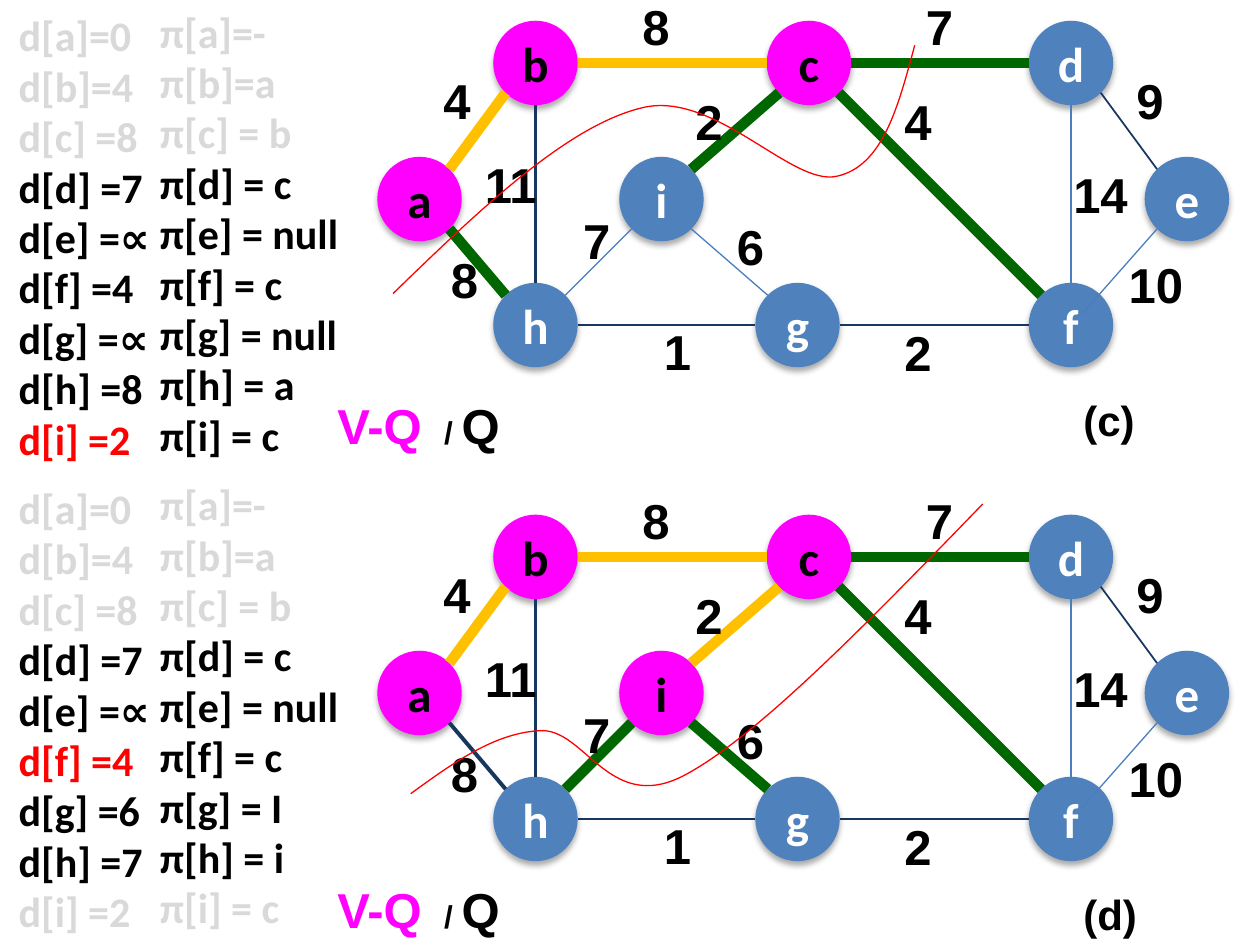
from math import sqrt

from lxml.etree import SubElement
from pptx import Presentation
from pptx.dml.color import RGBColor
from pptx.enum.shapes import MSO_CONNECTOR as Connector, MSO_SHAPE as Shape
from pptx.enum.text import MSO_ANCHOR as Anchor, PP_ALIGN as Align
from pptx.oxml.ns import qn
from pptx.util import Inches, Pt

BLACK = RGBColor(0x00, 0x00, 0x00)
WHITE = RGBColor(0xFF, 0xFF, 0xFF)
GREY = RGBColor(0xD9, 0xD9, 0xD9)
RED = RGBColor(0xFF, 0x00, 0x00)
MAGENTA = RGBColor(0xFF, 0x00, 0xFF)
BLUE = RGBColor(0x4F, 0x81, 0xBD)
LIGHT_BLUE = RGBColor(0x4B, 0x7E, 0xBC)
NAVY = RGBColor(0x17, 0x37, 0x5E)
GOLD = RGBColor(0xFF, 0xC0, 0x00)
GREEN = RGBColor(0x00, 0x66, 0x00)

# Edge styles: colour and width in points
TREE, CUT = (GOLD, 6), (GREEN, 6)
PLAIN, THIN, MEDIUM, THICK = (LIGHT_BLUE, 0.75), (NAVY, 1), (NAVY, 1.5), (NAVY, 2.25)

# Graph geometry, in inches within one panel
DIAMETER = 0.67
NODES = {
    "b": (4.25, 0.5), "c": (6.42, 0.5), "d": (8.5, 0.5),
    "a": (3.33, 1.58), "i": (5.25, 1.58), "e": (9.42, 1.58),
    "h": (4.25, 2.58), "g": (6.33, 2.58), "f": (8.5, 2.58),
}
RADIUS = DIAMETER / 2
DIAGONAL = RADIUS / sqrt(2)
SITES = {
    "N": (0, -RADIUS), "S": (0, RADIUS), "W": (-RADIUS, 0), "E": (RADIUS, 0),
    "NW": (-DIAGONAL, -DIAGONAL), "NE": (DIAGONAL, -DIAGONAL),
    "SW": (-DIAGONAL, DIAGONAL), "SE": (DIAGONAL, DIAGONAL),
    "inner": (0.08, -0.08),
}
# Edge: its two nodes, the sites it joins and its usual style
EDGES = [
    ("bc", "E", "W", TREE), ("cd", "E", "W", CUT),
    ("gf", "E", "W", THIN), ("hg", "E", "W", THIN),
    ("df", "S", "N", PLAIN), ("bh", "S", "N", MEDIUM),
    ("ba", "SW", "NE", TREE), ("de", "SE", "NW", THIN),
    ("ah", "SE", "NW", CUT), ("ef", "SW", "inner", PLAIN),
    ("ci", "SW", "NE", CUT), ("ih", "SW", "NE", PLAIN),
    ("ig", "SE", "NW", PLAIN), ("cf", "SE", "NW", CUT),
]
# Edge weight with the left and top of its text box
WEIGHTS = [
    ("4", 3.42, 0.51), ("8", 5, -0.08), ("7", 7.25, -0.08), ("9", 8.92, 0.51),
    ("11", 3.75, 1.18), ("8", 3.48, 1.93), ("7", 4.53, 1.62), ("6", 5.75, 1.67),
    ("1", 5.17, 2.5), ("2", 5.42, 0.68), ("2", 7.08, 2.51), ("4", 7.08, 0.68),
    ("14", 8.42, 1.26), ("10", 8.86, 1.97),
]

# Each panel shows one step of the algorithm
PANELS = [
    {
        "name": "(c)", "top": 0, "legend_top": 3.09, "lists_top": 0,
        "visited": "abc", "restyled": {},
        "cut": [(3.12, 2.33), (3.8, 1.67), (4.49, 1.01), (5.08, 0.86), (5.66, 0.7),
                (6.28, 1.48), (6.64, 1.4), (7.01, 1.32), (7.13, 0.84), (7.26, 0.36)],
        "keys": ["d[a]=0", "d[b]=4", "d[c] =8", "d[d] =7", "d[e] =∝",
                 "d[f] =4", "d[g] =∝", "d[h] =8", "d[i] =2"],
        "key_colors": [GREY] * 3 + [BLACK] * 5 + [RED],
        "parents": ["π[a]=-", "π[b]=a", "π[c] = b", "π[d] = c", "π[e] = null",
                    "π[f] = c", "π[g] = null", "π[h] = a", "π[i] = c"],
        "parent_colors": [GREY] * 3 + [BLACK] * 6,
    },
    {
        "name": "(d)", "top": 3.92, "legend_top": 6.93, "lists_top": 3.75,
        "visited": "abci",
        "restyled": {"bh": THICK, "ah": THICK, "ci": TREE, "ih": CUT, "ig": CUT},
        "cut": [(3.26, 6.3), (3.59, 6.06), (3.92, 5.82), (4.28, 5.8), (4.64, 5.77),
                (4.83, 6.46), (5.42, 6.16), (6, 5.86), (6.9, 4.93), (7.8, 4)],
        "keys": ["d[a]=0", "d[b]=4", "d[c] =8", "d[d] =7", "d[e] =∝",
                 "d[f] =4", "d[g] =6", "d[h] =7", "d[i] =2"],
        "key_colors": [GREY] * 3 + [BLACK] * 2 + [RED] + [BLACK] * 2 + [GREY],
        "parents": ["π[a]=-", "π[b]=a", "π[c] = b", "π[d] = c", "π[e] = null",
                    "π[f] = c", "π[g] = I", "π[h] = i", "π[i] = c"],
        "parent_colors": [GREY] * 3 + [BLACK] * 5 + [GREY],
    },
]


def set_font(font, name, size, color):
    font.name, font.size, font.bold = name, Pt(size), True
    font.color.rgb = color


def add_text(shapes, lines, colors, left, top, width, height, size=28, name="Arial"):
    box = shapes.add_textbox(Inches(left), Inches(top), Inches(width), Inches(height))
    frame = box.text_frame
    frame.word_wrap = True
    frame.text = "\n".join(lines)
    for paragraph, color in zip(frame.paragraphs, colors):
        set_font(paragraph.font, name, size, color)


def add_soft_shadow(shape):
    shape.shadow.inherit = False
    effects = shape._element.spPr.find(qn("a:effectLst"))
    shadow = SubElement(effects, qn("a:outerShdw"), blurRad=str(Pt(3.5)),
                        dist=str(Pt(2.2)), dir="5400000", rotWithShape="0")
    color = SubElement(shadow, qn("a:srgbClr"), val="000000")
    SubElement(color, qn("a:alpha"), val="32000")


def add_node(shapes, label, top, visited):
    x, y = NODES[label]
    node = shapes.add_shape(Shape.OVAL, Inches(x - RADIUS), Inches(top + y - RADIUS),
                            Inches(DIAMETER), Inches(DIAMETER))
    node.fill.solid()
    node.fill.fore_color.rgb = MAGENTA if visited else BLUE
    node.line.fill.background()
    add_soft_shadow(node)
    frame = node.text_frame
    frame.text = label
    frame.vertical_anchor = Anchor.MIDDLE
    paragraph = frame.paragraphs[0]
    paragraph.alignment = Align.CENTER
    set_font(paragraph.font, "Calibri", 28, BLACK if visited else WHITE)


def add_edge(shapes, ends, sites, top, style):
    points = []
    for node, site in zip(ends, sites):
        (x, y), (dx, dy) = NODES[node], SITES[site]
        points += [Inches(x + dx), Inches(top + y + dy)]
    edge = shapes.add_connector(Connector.STRAIGHT, *points)
    edge.line.color.rgb, edge.line.width = style[0], Pt(style[1])
    SubElement(edge._element.spPr, qn("a:effectLst"))


def add_cut_curve(shapes, points):
    """Draw a curve through every third point; the others are its handles."""
    start, *rest = [(Inches(x), Inches(y)) for x, y in points]
    builder = shapes.build_freeform(*start)
    builder.add_line_segments(rest, close=False)
    curve = builder.convert_to_shape()
    # Turn each three straight segments into one Bezier segment
    outline = curve._element.spPr.find(".//" + qn("a:path"))
    segments = outline.findall(qn("a:lnTo"))
    for first in range(0, len(segments), 3):
        bezier = SubElement(outline, qn("a:cubicBezTo"))
        for segment in segments[first:first + 3]:
            bezier.append(segment[0])
            outline.remove(segment)
    curve.fill.background()
    curve.line.color.rgb, curve.line.width = RED, Pt(0.75)
    curve.shadow.inherit = False


def add_legend(shapes, top):
    box = shapes.add_textbox(Inches(2.58), Inches(top), Inches(1.5), Inches(0.57))
    box.text_frame.word_wrap = True
    paragraph = box.text_frame.paragraphs[0]
    for text, size, color in [("V-Q ", 28, MAGENTA), (" / ", 18, BLACK), ("Q", 28, BLACK)]:
        run = paragraph.add_run()
        run.text = text
        set_font(run.font, "Arial", size, color)


def add_graph(slide, panel):
    top = panel["top"]
    shapes = slide.shapes.add_group_shape().shapes
    for label in NODES:
        add_node(shapes, label, top, label in panel["visited"])
    for ends, start, end, style in EDGES:
        add_edge(shapes, ends, (start, end), top, panel["restyled"].get(ends, style))
    for weight, left, offset in WEIGHTS:
        add_text(shapes, [weight], [BLACK], left, top + offset, 0.67, 0.57)


def add_panel(slide, panel):
    shapes, lists_top = slide.shapes, panel["lists_top"]
    add_graph(slide, panel)
    add_text(shapes, [panel["name"]], [BLACK], 8.5, panel["top"] + 3.08, 0.83, 0.5, 24)
    add_cut_curve(shapes, panel["cut"])
    add_legend(shapes, panel["legend_top"])
    # Key and parent of every node
    add_text(shapes, panel["keys"], panel["key_colors"],
             0.05, lists_top + 0.03, 1.33, 4.14, 24, "Calibri")
    add_text(shapes, panel["parents"], panel["parent_colors"],
             1.17, lists_top, 1.75, 4.04, 24, "Calibri")


def main():
    presentation = Presentation()
    presentation.slide_width, presentation.slide_height = Inches(10), Inches(7.5)
    slide = presentation.slides.add_slide(presentation.slide_layouts[6])
    for panel in PANELS:
        add_panel(slide, panel)
    presentation.save("out.pptx")


if __name__ == "__main__":
    main()
